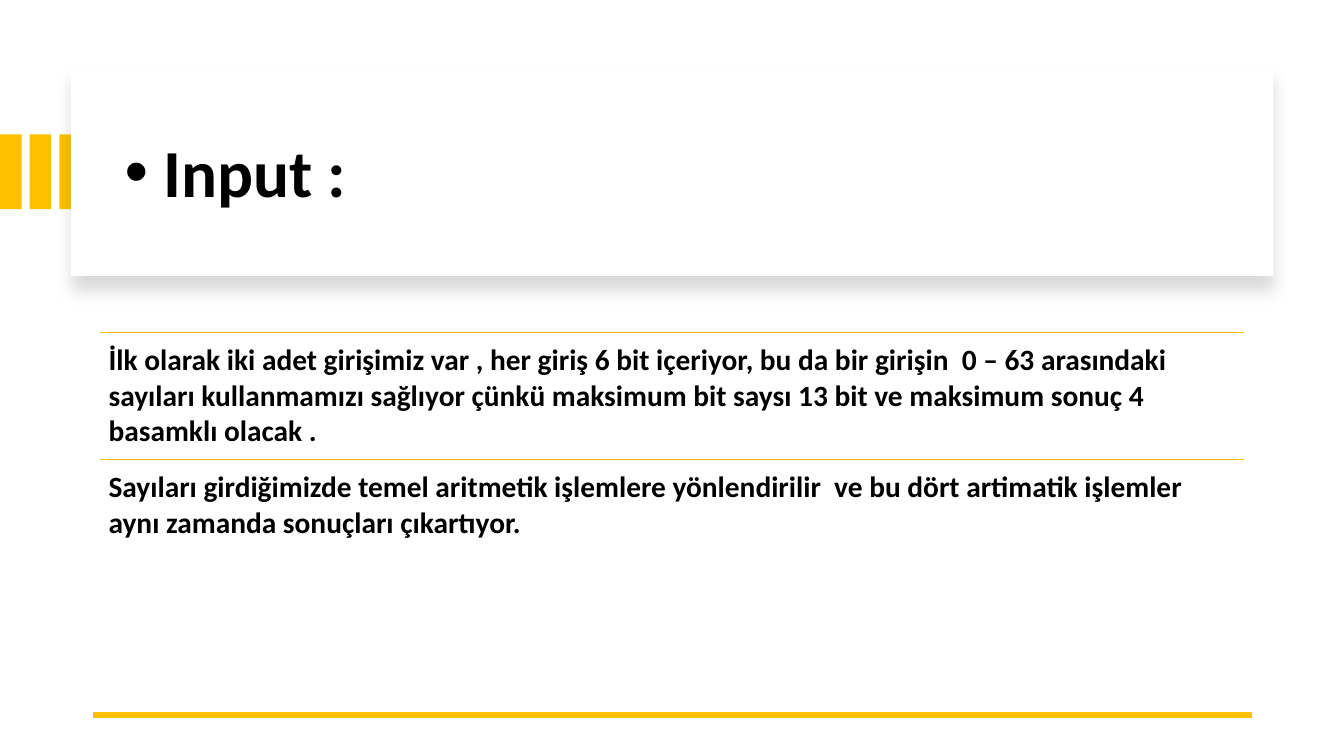
from dataclasses import dataclass

from lxml import etree
from pptx import Presentation
from pptx.dml.color import RGBColor
from pptx.enum.shapes import MSO_CONNECTOR, MSO_SHAPE
from pptx.enum.text import MSO_ANCHOR
from pptx.oxml import parse_xml
from pptx.oxml.ns import qn
from pptx.util import Pt

RECTANGLE = MSO_SHAPE.RECTANGLE
STRAIGHT = MSO_CONNECTOR.STRAIGHT
MIDDLE, TOP = MSO_ANCHOR.MIDDLE, MSO_ANCHOR.TOP


@dataclass(frozen=True)
class Theme:
    accent: RGBColor = RGBColor(0xFF, 0xC0, 0x00)
    panel: RGBColor = RGBColor(0xFF, 0xFF, 0xFF)
    ink: RGBColor = RGBColor(0x00, 0x00, 0x00)
    font: str = "Calibri"
    title_size: float = 48
    body_size: float = 21


theme = Theme()
presentation = Presentation()
presentation.slide_width, presentation.slide_height = Pt(960), Pt(540)
slide = presentation.slides.add_slide(presentation.slide_layouts[6])
shapes = slide.shapes


def add_text(left, top, width, height, runs, size, anchor, inset_x, inset_y):
    """Add a one-paragraph text box from (text, bold) runs; return the paragraph."""
    frame = shapes.add_textbox(Pt(left), Pt(top), Pt(width), Pt(height)).text_frame
    frame.word_wrap = True
    frame.vertical_anchor = anchor
    frame.margin_left = frame.margin_right = Pt(inset_x)
    frame.margin_top = frame.margin_bottom = Pt(inset_y)
    paragraph = frame.paragraphs[0]
    for text, bold in runs:
        run = paragraph.add_run()
        run.text = text
        run.font.name = theme.font
        run.font.size = Pt(size)
        run.font.bold = bold
        run.font.color.rgb = theme.ink
    return paragraph


def add_rule(left, right, y, weight):
    rule = shapes.add_connector(STRAIGHT, Pt(left), Pt(y), Pt(right), Pt(y))
    rule.line.color.rgb = theme.accent
    rule.line.width = Pt(weight)
    etree.SubElement(rule._element.spPr, qn("a:effectLst"))


# Accent bars, partly covered by the title panel
boxes = [(index * 21.2, 96, 15.4, 53.4, theme.accent) for index in range(3)]
boxes.append((50.6, 48.2, 859, 149, theme.panel))
for left, top, width, height, color in boxes:
    box = shapes.add_shape(RECTANGLE, Pt(left), Pt(top), Pt(width), Pt(height))
    box.shadow.inherit = False
    box.fill.solid()
    box.fill.fore_color.rgb = color
    box.line.fill.background()

title_panel = box
effects = title_panel._element.spPr.find(qn("a:effectLst"))
effects.append(parse_xml(
    '<a:outerShdw xmlns:a="http://schemas.openxmlformats.org/drawingml/2006/main"'
    f' blurRad="{Pt(11)}" dist="{Pt(10)}" dir="5400000" algn="t" rotWithShape="0">'
    f'<a:srgbClr val="{theme.ink}"><a:alpha val="15000"/></a:srgbClr></a:outerShdw>'))

title = add_text(82, 64, 801.4, 122.4, [(" ", None), ("Input :", True)],
                 theme.title_size, MIDDLE, 7.2, 3.6)
title.line_spacing = 0.9
properties = title._p.get_or_add_pPr()
etree.SubElement(properties, qn("a:buFont"), typeface="Arial")
etree.SubElement(properties, qn("a:buChar"), char="•")

# Body: each statement hangs below its own thin rule
add_rule(66.2, 894.2, 510.5, 4.5)
body_left, body_width, body_top, row_height = 71.3, 817.2, 237.6, 90.7
statements = [
    "İlk olarak iki adet girişimiz var , her giriş 6 bit içeriyor, bu da bir girişin  "
    "0 – 63 arasındaki sayıları kullanmamızı sağlıyor çünkü maksimum bit saysı 13 bit "
    "ve maksimum sonuç 4 basamklı olacak .",
    "Sayıları girdiğimizde temel aritmetik işlemlere yönlendirilir  ve bu dört "
    "artimatik işlemler  aynı zamanda sonuçları çıkartıyor.",
]
for index, statement in enumerate(statements):
    top = body_top + index * row_height
    add_rule(body_left, body_left + body_width, top, 1)
    add_text(body_left, top, body_width, row_height, [(statement, True)],
             theme.body_size, TOP, 6.3, 6.3)
add_rule(body_left, body_left + body_width, 510.5, 1)

presentation.save("out.pptx")
